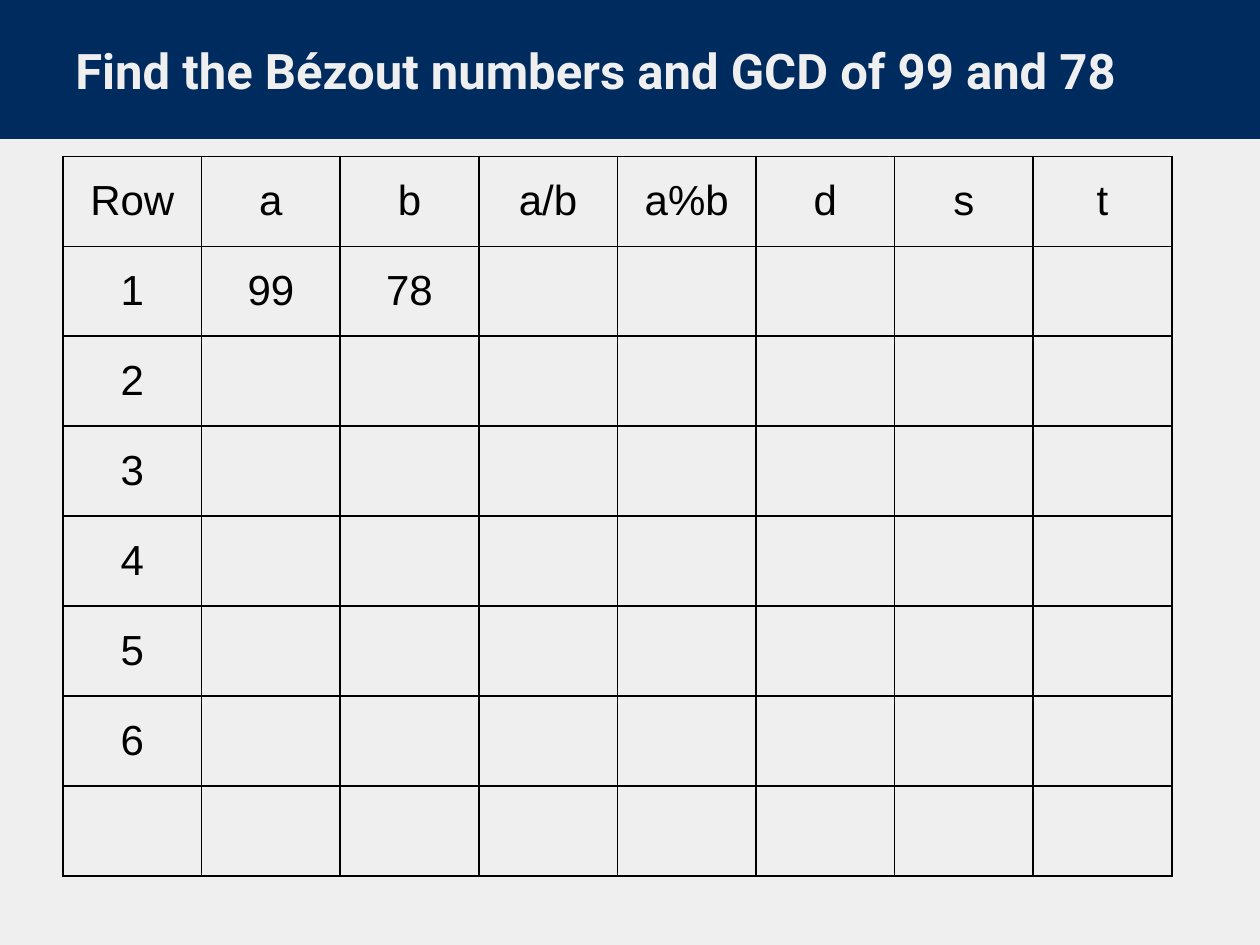
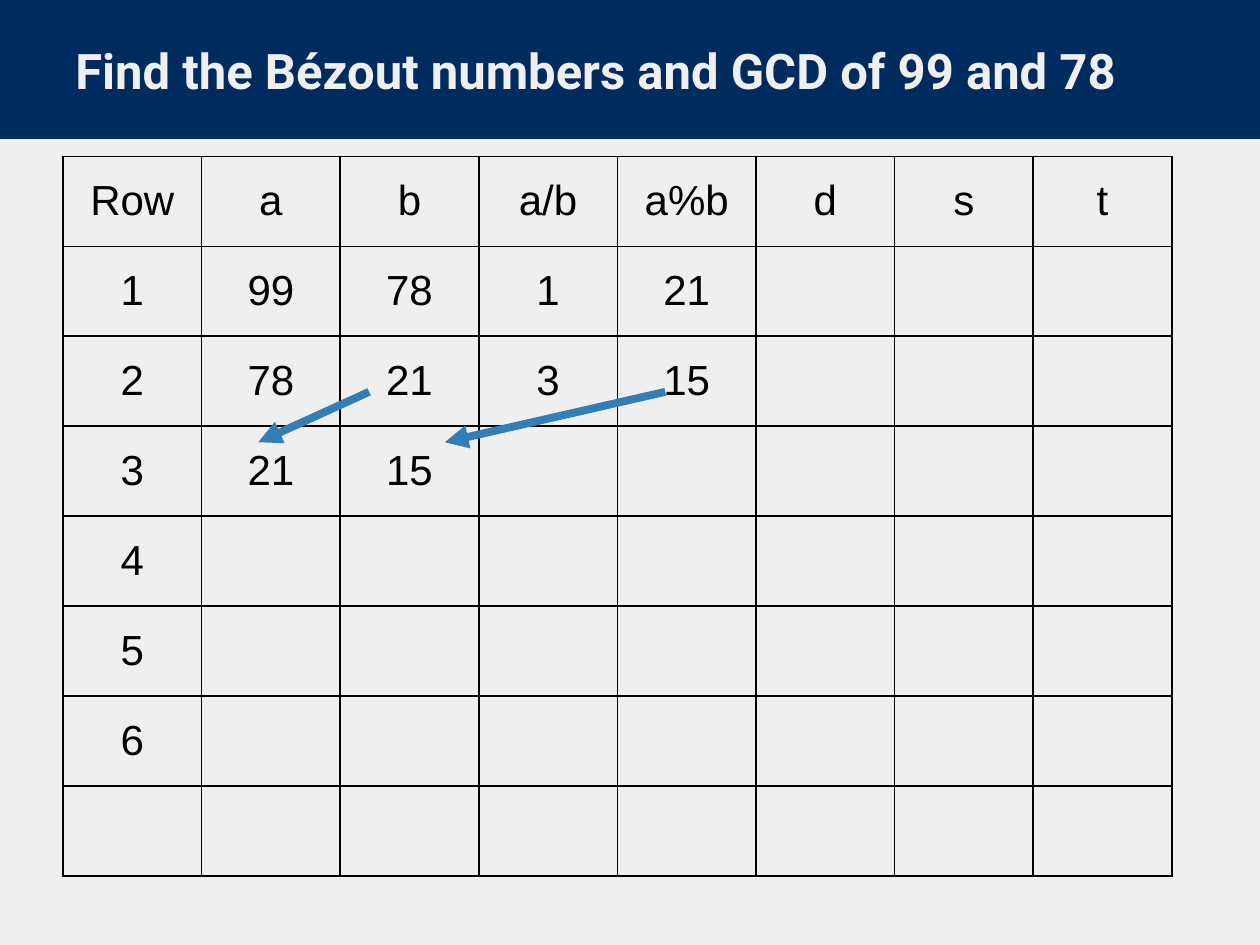
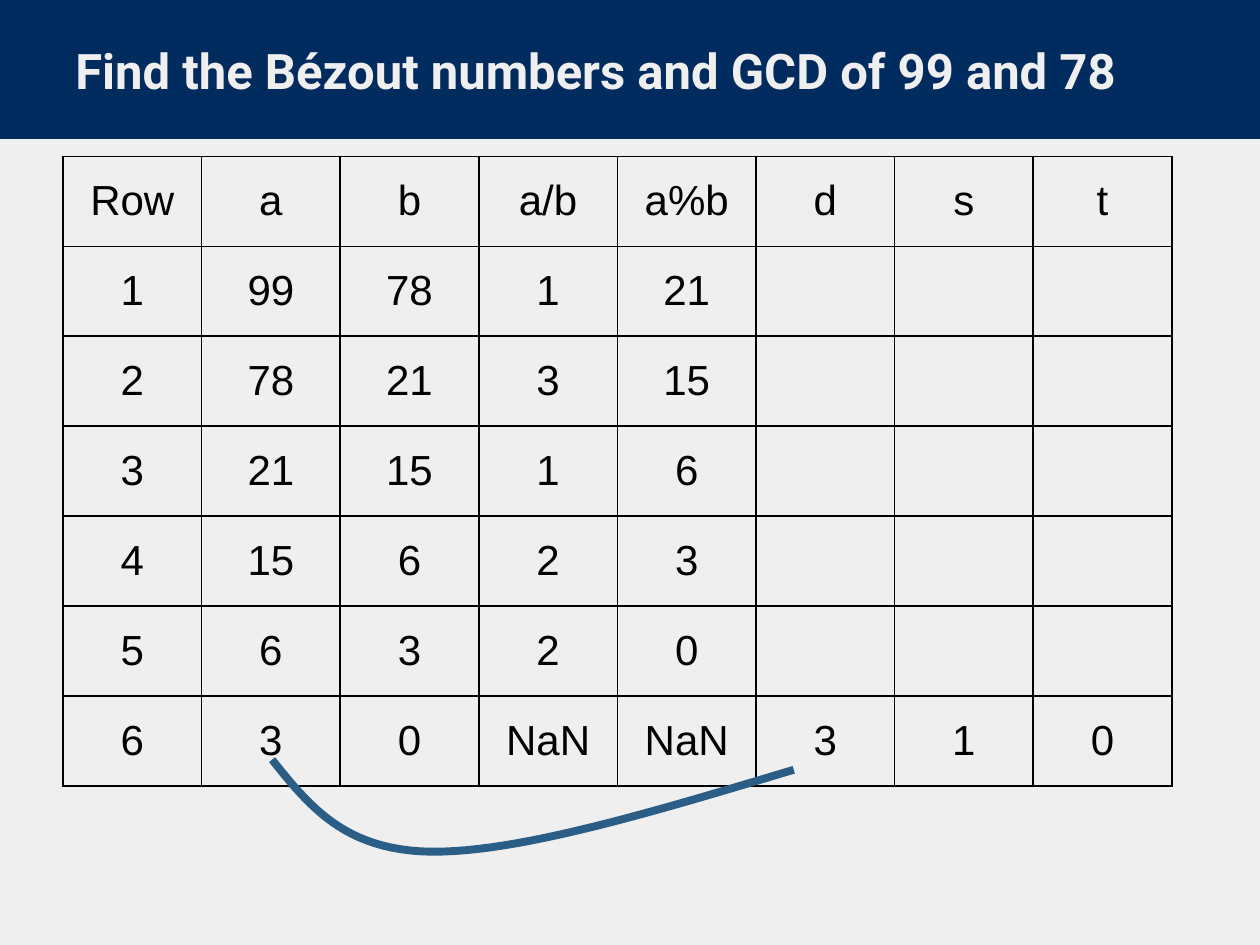
from lxml import etree
from pptx import Presentation
from pptx import util as u
from pptx.dml.color import RGBColor
from pptx.enum import shapes, text
from pptx.oxml.ns import qn

NAVY, PALE, BLACK = "002B5E", "EFEFEF", "000000"
ARROW_BLUE, CURVE_BLUE = "347EB8", "2A5E87"
TITLE = "Find the Bézout numbers and GCD of 99 and 78"
HEADER = ["Row", "a", "b", "a/b", "a%b", "d", "s", "t"]
STEPS = [
    ["1", "99", "78", "1", "21"],
    ["2", "78", "21", "3", "15"],
    ["3", "21", "15", "1", "6"],
    ["4", "15", "6", "2", "3"],
    ["5", "6", "3", "2", "0"],
    ["6", "3", "0", "NaN", "NaN", "3", "1", "0"],
    [],
]
COL_WIDTH = u.Inches(1.1)
ROW_HEIGHT = u.Inches(5 / 7)


def rgb(color):
    return RGBColor.from_string(color)


def set_line(line, color, width):
    line.color.rgb = rgb(color)
    line.width = u.Pt(width)


def add_run(p, words, font, size, color, bold=False):
    r = p.add_run()
    r.text = words
    r.font.name = font
    r.font.size = u.Pt(size)
    r.font.bold = bold
    r.font.color.rgb = rgb(color)


def add_base(prs):
    s = prs.slides.add_slide(prs.slide_layouts[6])
    s.background.fill.solid()
    s.background.fill.fore_color.rgb = rgb(PALE)
    band = s.shapes.add_shape(shapes.MSO_SHAPE.RECTANGLE, 0, 0, prs.slide_width, u.Inches(1.09))
    band.shadow.inherit = False
    band.fill.solid()
    band.fill.fore_color.rgb = rgb(NAVY)
    set_line(band.line, NAVY, 1.5)
    title = s.shapes.add_textbox(u.Inches(0.5), u.Inches(0.22), u.Inches(9), u.Inches(0.67))
    tf = title.text_frame
    tf.word_wrap = True
    tf.vertical_anchor = text.MSO_ANCHOR.BOTTOM
    tf.margin_left = tf.margin_right = tf.margin_top = tf.margin_bottom = u.Inches(0.1)
    add_run(tf.paragraphs[0], TITLE, "Roboto", 28, PALE, True)
    return s


def add_borders(cell):
    tc_pr = cell._tc.get_or_add_tcPr()
    for side in ("lnL", "lnR", "lnT", "lnB"):
        ln = etree.SubElement(tc_pr, qn(f"a:{side}"), w=str(u.Pt(1)))
        fill = etree.SubElement(ln, qn("a:solidFill"))
        etree.SubElement(fill, qn("a:srgbClr"), val=BLACK)


def add_steps_table(s, shown):
    rows = [HEADER] + [step[:n] for step, n in zip(STEPS, shown)]
    table = s.shapes.add_table(len(rows), len(HEADER), u.Inches(0.5), u.Inches(1.24),
                               COL_WIDTH * len(HEADER), ROW_HEIGHT * len(rows)).table
    table.first_row = table.horz_banding = False
    for col in table.columns:
        col.width = COL_WIDTH
    for i, values in enumerate(rows):
        table.rows[i].height = ROW_HEIGHT
        for cell in table.rows[i].cells:
            add_borders(cell)
            cell.fill.background()
            cell.vertical_anchor = text.MSO_ANCHOR.MIDDLE
        for j, value in enumerate(values):
            p = table.cell(i, j).text_frame.paragraphs[0]
            p.alignment = text.PP_ALIGN.CENTER
            add_run(p, value, "Arial", 24, BLACK)


def add_arrow(s, start, end):
    points = [u.Inches(v) for v in start + end]
    arrow = s.shapes.add_connector(shapes.MSO_CONNECTOR.STRAIGHT, *points)
    set_line(arrow.line, ARROW_BLUE, 4.5)
    etree.SubElement(arrow.line._get_or_add_ln(), qn("a:tailEnd"), type="triangle")
    etree.SubElement(arrow._element.spPr, qn("a:effectLst"))


def bezier(ends, steps=24):
    for i in range(1, steps + 1):
        t = i / steps
        weights = ((1 - t) ** 3, 3 * t * (1 - t) ** 2, 3 * t * t * (1 - t), t ** 3)
        yield tuple(u.Inches(sum(w * pt[axis] for w, pt in zip(weights, ends)))
                    for axis in (0, 1))


def add_curve(s, points):
    x, y = points[0]
    builder = s.shapes.build_freeform(u.Inches(x), u.Inches(y))
    for k in range(0, len(points) - 1, 3):
        builder.add_line_segments(list(bezier(points[k:k + 4])), close=False)
    curve = builder.convert_to_shape()
    curve.shadow.inherit = False
    curve.fill.background()
    set_line(curve.line, CURVE_BLUE, 4.5)


def main():
    prs = Presentation()
    prs.slide_width, prs.slide_height = u.Inches(10), u.Inches(7.5)

    s = add_base(prs)
    add_steps_table(s, [3, 1, 1, 1, 1, 1, 0])

    s = add_base(prs)
    add_steps_table(s, [5, 5, 3, 1, 1, 1, 0])
    add_arrow(s, (2.93, 3.11), (2.05, 3.51))
    add_arrow(s, (5.28, 3.11), (3.53, 3.51))

    s = add_base(prs)
    add_steps_table(s, [5, 5, 5, 5, 5, 8])
    add_curve(s, [(2.16, 6.03), (2.45, 6.39), (2.73, 6.75), (3.42, 6.76),
                  (4.11, 6.77), (5.2, 6.44), (6.3, 6.11)])

    prs.save("out.pptx")


if __name__ == "__main__":
    main()
